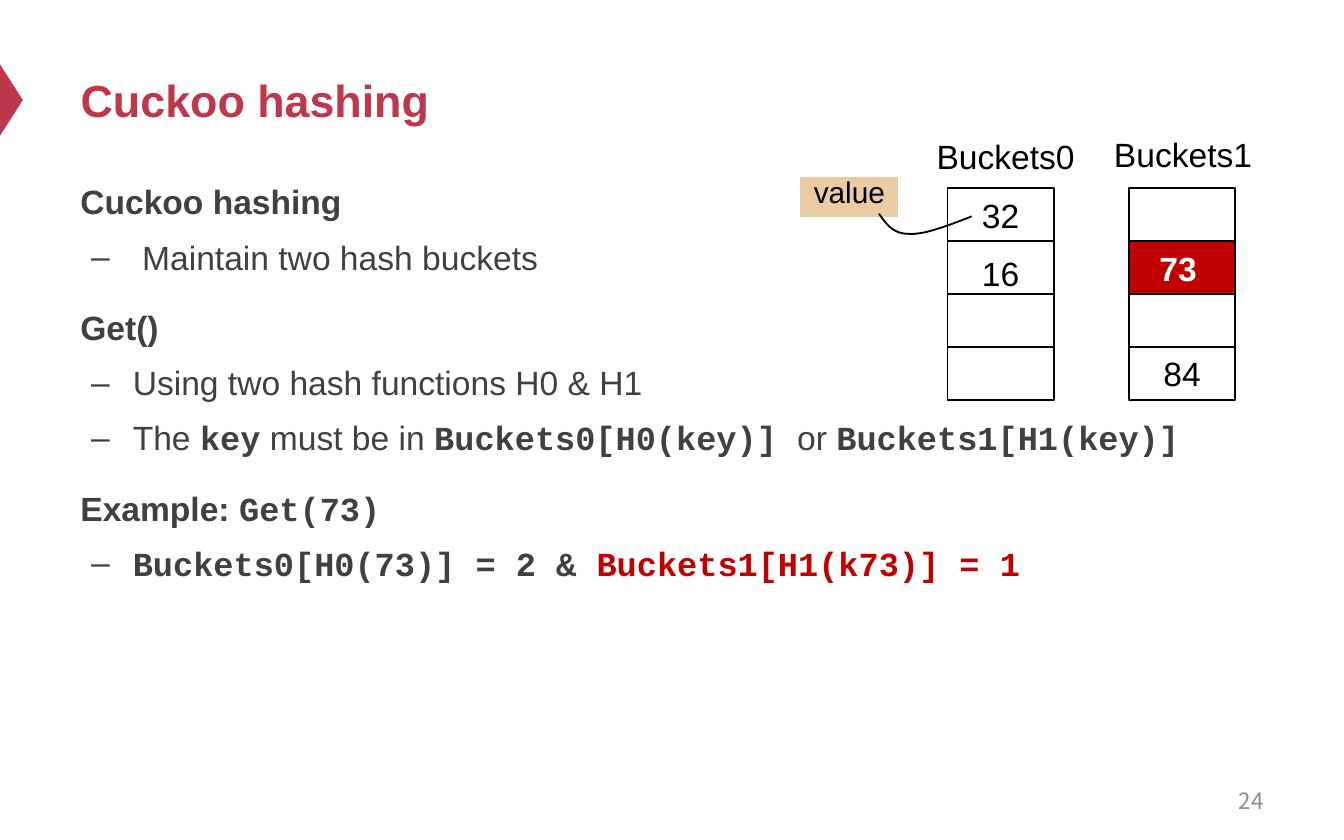
from dataclasses import dataclass

from lxml.etree import SubElement
from pptx import Presentation
from pptx.dml.color import RGBColor
from pptx.enum.shapes import MSO_SHAPE
from pptx.enum.text import MSO_ANCHOR, PP_ALIGN
from pptx.oxml.ns import qn
from pptx.util import Inches, Pt


@dataclass(frozen=True)
class Theme:
    accent: str = "BE384B"
    body: str = "404040"
    ink: str = "000000"
    paper: str = "FFFFFF"
    found: str = "C00000"
    tag: str = "EACBA3"
    muted: str = "8C8C8C"
    sans: str = "Arial"
    mono: str = "Courier New"
    number_font: str = "Noto Sans CJK SC"
    title_size: int = 24
    text_size: int = 18
    tag_size: int = 16
    number_size: int = 12


THEME = Theme()


def write(paragraph, text, *, font=THEME.sans, size=THEME.text_size,
          color=THEME.ink, bold=False):
    run = paragraph.add_run()
    run.text = text
    run.font.name = font
    run.font.size = Pt(size)
    run.font.bold = bold
    run.font.color.rgb = RGBColor.from_string(color)


def add_dash(paragraph):
    """Give the paragraph an en dash bullet with a hanging indent."""
    properties = paragraph._p.get_or_add_pPr()
    properties.set("marL", str(Inches(0.39)))
    properties.set("indent", str(Inches(-0.31)))
    SubElement(properties, qn("a:buFont"), typeface=THEME.sans)
    SubElement(properties, qn("a:buChar"), char="–")


def bezier(start, control1, control2, end, steps=16):
    """Return points along a cubic curve, without its start."""
    points = []
    for step in range(1, steps + 1):
        t = step / steps
        weights = ((1 - t) ** 3, 3 * t * (1 - t) ** 2, 3 * t * t * (1 - t), t ** 3)
        points.append(tuple(
            sum(w * p for w, p in zip(weights, axis))
            for axis in zip(start, control1, control2, end)))
    return points


class SlideBuilder:
    def __init__(self, presentation, theme):
        self.theme = theme
        self.slide = presentation.slides.add_slide(presentation.slide_layouts[5])
        self.shapes = self.slide.shapes

    def title(self, text, left, top, width, height):
        heading = self.shapes.title
        heading.left, heading.top = Inches(left), Inches(top)
        heading.width, heading.height = Inches(width), Inches(height)
        frame = heading.text_frame
        frame.vertical_anchor = MSO_ANCHOR.MIDDLE
        frame.paragraphs[0].alignment = PP_ALIGN.LEFT
        write(frame.paragraphs[0], text, size=self.theme.title_size,
              color=self.theme.accent, bold=True)

    def marker(self, left, top, width, height):
        triangle = self._shape(MSO_SHAPE.ISOSCELES_TRIANGLE, left, top, width,
                               height, self.theme.accent)
        triangle.line.fill.background()
        triangle.rotation = 90

    def outline(self, items, left, top, width, height):
        """Write (level, runs) items; each run is a text and its format."""
        frame = self._frame(left, top, width, height)
        for index, (level, runs) in enumerate(items):
            paragraph = frame.add_paragraph() if index else frame.paragraphs[0]
            paragraph.line_spacing = 1.2
            if index:
                paragraph.space_before = Pt(3.6 if level else 12)
            if level:
                paragraph.level = level
                add_dash(paragraph)
            for text, style in runs:
                write(paragraph, text, **{"color": self.theme.body, **style})

    def label(self, text, left, top, width, height, align=PP_ALIGN.LEFT, **style):
        frame = self._frame(left, top, width, height)
        frame.vertical_anchor = MSO_ANCHOR.MIDDLE
        frame.paragraphs[0].alignment = align
        write(frame.paragraphs[0], text, **style)

    def box(self, text, left, top, width, height, fill=None, line=THEME.ink,
            line_width=1, shift=(0, 0), **style):
        """Draw a rectangle whose centred text is moved by shift inches."""
        rectangle = self._shape(MSO_SHAPE.RECTANGLE, left, top, width, height, fill)
        rectangle.line.color.rgb = RGBColor.from_string(line)
        rectangle.line.width = Pt(line_width)
        if not text:
            return
        right, down = shift
        frame = rectangle.text_frame
        frame.margin_left, frame.margin_right = Inches(0.1 + right), Inches(0.1 - right)
        frame.margin_top, frame.margin_bottom = Inches(down), Inches(-down)
        frame.vertical_anchor = MSO_ANCHOR.MIDDLE
        frame.word_wrap = False
        frame.paragraphs[0].alignment = PP_ALIGN.CENTER
        write(frame.paragraphs[0], text, **style)

    def curve(self, start, *segments):
        points = [start]
        for segment in segments:
            points += bezier(points[-1], *segment)
        emu = [(Inches(x), Inches(y)) for x, y in points]
        builder = self.shapes.build_freeform(*emu[0])
        builder.add_line_segments(emu[1:], close=False)
        stroke = builder.convert_to_shape()
        stroke.shadow.inherit = False
        stroke.fill.background()
        stroke.line.color.rgb = RGBColor.from_string(self.theme.ink)
        stroke.line.width = Pt(1)

    def _frame(self, *place):
        frame = self.shapes.add_textbox(*map(Inches, place)).text_frame
        frame.word_wrap = True
        return frame

    def _shape(self, kind, left, top, width, height, fill):
        shape = self.shapes.add_shape(kind, *map(Inches, (left, top, width, height)))
        shape.shadow.inherit = False
        if fill:
            shape.fill.solid()
            shape.fill.fore_color.rgb = RGBColor.from_string(fill)
        else:
            shape.fill.background()
        return shape


PLAIN = {}
BOLD = {"bold": True}
CODE = {"bold": True, "font": THEME.mono}
FOUND_CODE = {**CODE, "color": THEME.found}

OUTLINE = [
    (0, [("Cuckoo hashing", BOLD)]),
    (1, [(" Maintain two hash buckets", PLAIN)]),
    (0, [("Get()", BOLD)]),
    (1, [("Using two hash functions H0 & H1", PLAIN)]),
    (1, [("The ", PLAIN), ("key", CODE), (" must be in ", PLAIN),
         ("Buckets0[H0(key)] ", CODE), ("or ", PLAIN), ("Buckets1[H1(key)]", CODE)]),
    (0, [("Example: ", BOLD), ("Get(73)", CODE)]),
    (1, [("Buckets0[H0(73)] = 2 & ", CODE), ("Buckets1[H1(k73)] = 1", FOUND_CODE)]),
]

FOUND_CELL = {"fill": THEME.found, "color": THEME.paper, "bold": True,
              "shift": (-0.03, 0)}
EMPTY = ("", {})
# Name, label left, label top, column left, cells
BUCKETS = [
    ("Buckets0", 6.87, 0.96, 7.05,
     [("32", {}), ("16", {"shift": (0, 0.04)}), EMPTY, EMPTY]),
    ("Buckets1", 8.19, 0.95, 8.4,
     [EMPTY, ("73", FOUND_CELL), EMPTY, ("84", {})]),
]
CELL_TOP, CELL_WIDTH, CELL_HEIGHT = 1.4, 0.79, 0.394


def main():
    presentation = Presentation()
    presentation.slide_width, presentation.slide_height = Inches(10), Inches(6.25)
    page = SlideBuilder(presentation, THEME)

    page.marker(-0.18, 0.66, 0.53, 0.17)
    page.title("Cuckoo hashing", 0.5, 0.25, 9, 0.98)
    page.outline(OUTLINE, 0.5, 1.24, 9, 4.12)
    page.label("24", 7.17, 5.79, 2.33, 0.33, align=PP_ALIGN.RIGHT,
               font=THEME.number_font, size=THEME.number_size, color=THEME.muted)

    for name, label_left, label_top, left, cells in BUCKETS:
        page.label(name, label_left, label_top, 1.31, 0.4)
        for row, (value, style) in enumerate(cells):
            page.box(value, left, CELL_TOP + row * CELL_HEIGHT,
                     CELL_WIDTH, CELL_HEIGHT, **style)

    page.box("value", 5.94, 1.3, 0.76, 0.33, fill=THEME.tag, line=THEME.paper,
             line_width=2, shift=(0, -0.04), size=THEME.tag_size)
    page.curve((7.23, 1.61),
               ((7.05, 1.68), (6.87, 1.75), (6.76, 1.74)),
               ((6.64, 1.74), (6.59, 1.66), (6.54, 1.59)))

    presentation.save("out.pptx")


if __name__ == "__main__":
    main()
